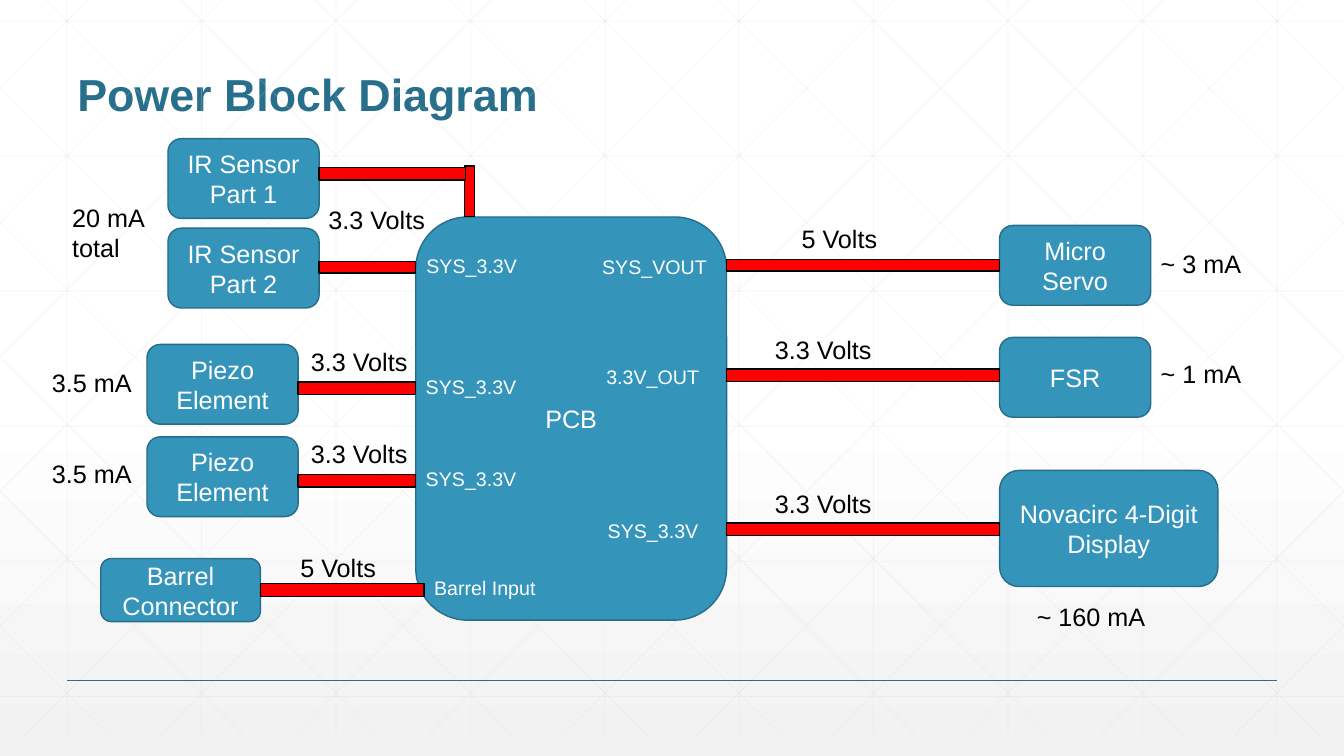
"""Build the power block diagram slide."""
import lxml.etree
import pptx
import pptx.dml.color
import pptx.enum.shapes
import pptx.enum.text
import pptx.oxml.ns
import pptx.util

Pt = pptx.util.Pt
RGB = pptx.dml.color.RGBColor
KIND = pptx.enum.shapes.MSO_SHAPE
ANCHOR = pptx.enum.text.MSO_ANCHOR
ALIGN = pptx.enum.text.PP_ALIGN
FIT = pptx.enum.text.MSO_AUTO_SIZE
qn = pptx.oxml.ns.qn

WHITE = RGB(0xFF, 0xFF, 0xFF)
BLACK = RGB(0x00, 0x00, 0x00)
MIST = RGB(0xF2, 0xF2, 0xF2)
GRID = RGB(0xD9, 0xD9, 0xD9)
DEEP = RGB(0x27, 0x6F, 0x8B)
EDGE = RGB(0x26, 0x6D, 0x8A)
BLUE = RGB(0x34, 0x94, 0xBA)
RED = RGB(0xFF, 0x00, 0x00)

WIDE, HIGH, FLOOR, STEP = 960, 540, 525, 96


def put(item, **form):
    for name, value in form.items():
        setattr(item, name, value)


class Board:
    font = "Arial"

    def __init__(self, deck):
        self.slide = deck.slides.add_slide(deck.slide_layouts[5])
        self.shapes = self.slide.shapes

    def ground(self):
        fill = self.slide.background.fill
        fill.gradient()
        fill.gradient_angle = 270
        for stop, tone, place in zip(fill.gradient_stops, (WHITE, MIST), (0.53, 1)):
            stop.color.rgb = tone
            stop.position = place

    def phrase(self, frame, text, size, tone, align, bold=False, **form):
        put(frame, text=text, word_wrap=True, **form)
        line = frame.paragraphs[0]
        line.alignment = align
        put(line.runs[0].font, name=self.font, size=Pt(size), bold=bold)
        line.runs[0].font.color.rgb = tone
        return line

    def title(self, text, left, top, width, height):
        head = self.shapes.title
        put(head, left=Pt(left), top=Pt(top), width=Pt(width), height=Pt(height))
        line = self.phrase(head.text_frame, text, 32, DEEP, ALIGN.LEFT, True,
                           vertical_anchor=ANCHOR.BOTTOM, auto_size=FIT.NONE)
        line.line_spacing = 0.9

    def rule(self, start, end, tone, width, alpha=None):
        link = self.shapes.add_connector(
            pptx.enum.shapes.MSO_CONNECTOR.STRAIGHT, *map(Pt, start + end))
        link.line.width = Pt(width)
        link.line.color.rgb = tone
        part = link.element.spPr
        if alpha:
            hue = part.find(".//" + qn("a:srgbClr"))
            lxml.etree.SubElement(hue, qn("a:alpha"), val=str(alpha * 1000))
        lxml.etree.SubElement(part, qn("a:effectLst"))

    def shape(self, kind, spot, fill, edge):
        form = self.shapes.add_shape(kind, *map(Pt, spot))
        form.shadow.inherit = False
        form.fill.solid()
        form.fill.fore_color.rgb = fill
        form.line.color.rgb = edge
        form.line.width = Pt(1)
        return form

    def block(self, text, *spot):
        form = self.shape(KIND.ROUNDED_RECTANGLE, spot, BLUE, EDGE)
        self.phrase(form.text_frame, text, 18, WHITE, ALIGN.CENTER,
                    vertical_anchor=ANCHOR.MIDDLE)

    def wire(self, *spot):
        self.shape(KIND.RECTANGLE, spot, RED, BLACK)

    def label(self, text, spot, size=18, tone=BLACK, align=ALIGN.LEFT):
        box = self.shapes.add_textbox(*map(Pt, spot))
        self.phrase(box.text_frame, text, size, tone, align,
                    auto_size=FIT.SHAPE_TO_FIT_TEXT)

    def grid(self):
        faint = (GRID, 0.5, 25)
        for col in range(10):
            x = 48 + STEP * col
            self.rule((x, 0), (x, FLOOR), *faint)
        for row in range(6):
            y = 15 + 96.5 * row
            self.rule((0, y), (WIDE, y), *faint)
        for col in range(-5, 10):
            x = 33 + STEP * col
            top = max(0, -x)
            base = min(FLOOR, WIDE - x)
            self.rule((x + top, top), (x + base, base), *faint)
            self.rule((WIDE - x - top, top), (WIDE - x - base, base), *faint)


BLOCKS = [
    ("PCB", 297, 155, 222, 288),
    ("Barrel Connector", 72, 399, 114, 45),
    ("Micro Servo", 714, 161, 108, 57),
    ("FSR", 714, 241, 108, 57),
    ("Novacirc 4-Digit Display", 714, 336, 156, 83),
    ("Piezo Element", 105, 246, 108, 57),
    ("Piezo Element", 105, 312, 108, 57),
    ("IR Sensor Part 2", 120, 163, 108, 57),
    ("IR Sensor Part 1", 120, 99, 108, 57),
]
WIRES = [
    (186, 417, 117, 9),
    (519, 185.5, 195, 8),
    (519, 263.5, 195, 9),
    (519, 373.5, 195, 9),
    (228, 187, 69, 8),
    (213, 273, 84, 9),
    (213, 339, 84, 9),
    (332, 118.5, 7, 36),
    (228, 119.5, 104.5, 9),
]
PINS = [
    ("Barrel Input", 303, 408),
    ("SYS_VOUT", 423, 178.5),
    ("3.3V_OUT", 426, 257),
    ("SYS_3.3V", 427, 367),
    ("SYS_3.3V", 297.5, 178),
    ("SYS_3.3V", 297, 264),
    ("SYS_3.3V", 297, 330),
]
VOLTS = [
    ("3.3 Volts", 541.5, 235.5),
    ("3.3 Volts", 541.5, 345.5),
    ("5 Volts", 195, 391),
    ("3.3 Volts", 222.5, 142.5),
    ("5 Volts", 553, 156),
    ("3.3 Volts", 210, 244),
    ("3.3 Volts", 210, 309.5),
]
AMPS = [
    ("~ 160 mA", 733.5, 426, 117, 29),
    ("~ 1 mA", 822, 252.5, 117, 29),
    ("~ 3 mA", 822, 174, 117, 29),
    ("3.5 mA", 30, 258.5, 74, 29),
    ("3.5 mA", 30, 324, 74, 29),
    ("20 mA total", 44.5, 141, 93, 51),
]

deck = pptx.Presentation()
put(deck, slide_width=Pt(WIDE), slide_height=Pt(HIGH))
board = Board(deck)
board.ground()
board.grid()
board.rule((48, 486), (912, 486), DEEP, 1)
board.title("Power Block Diagram", 48, 18, 864, 72)
for block in BLOCKS:
    board.block(*block)
for wire in WIRES:
    board.wire(*wire)
for text, left, top in PINS:
    board.label(text, (left, top, 96, 24.5), 14, WHITE)
for text, left, top in VOLTS:
    board.label(text, (left, top, 93, 29), align=ALIGN.CENTER)
for text, *spot in AMPS:
    board.label(text, spot)
deck.save("out.pptx")
